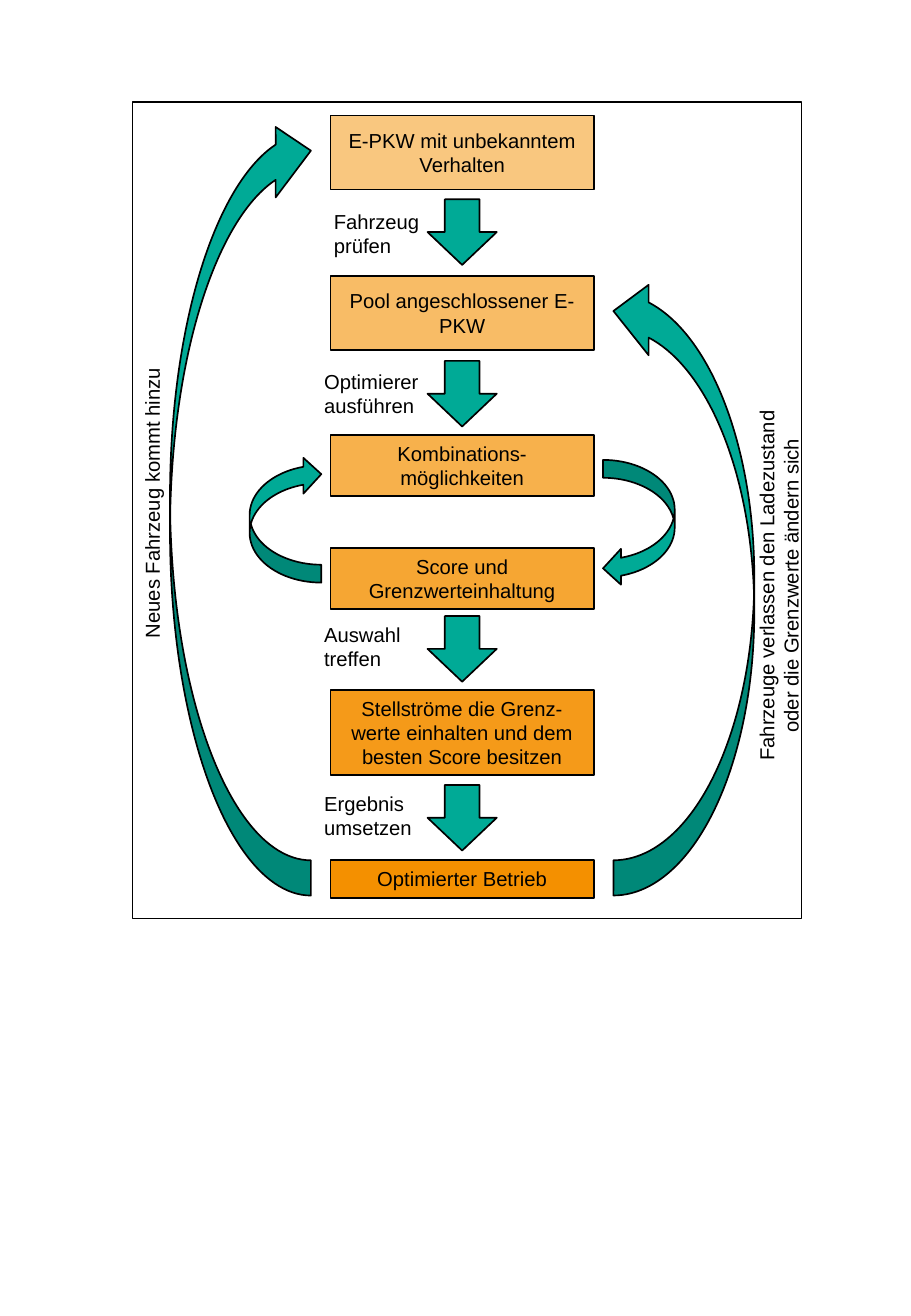
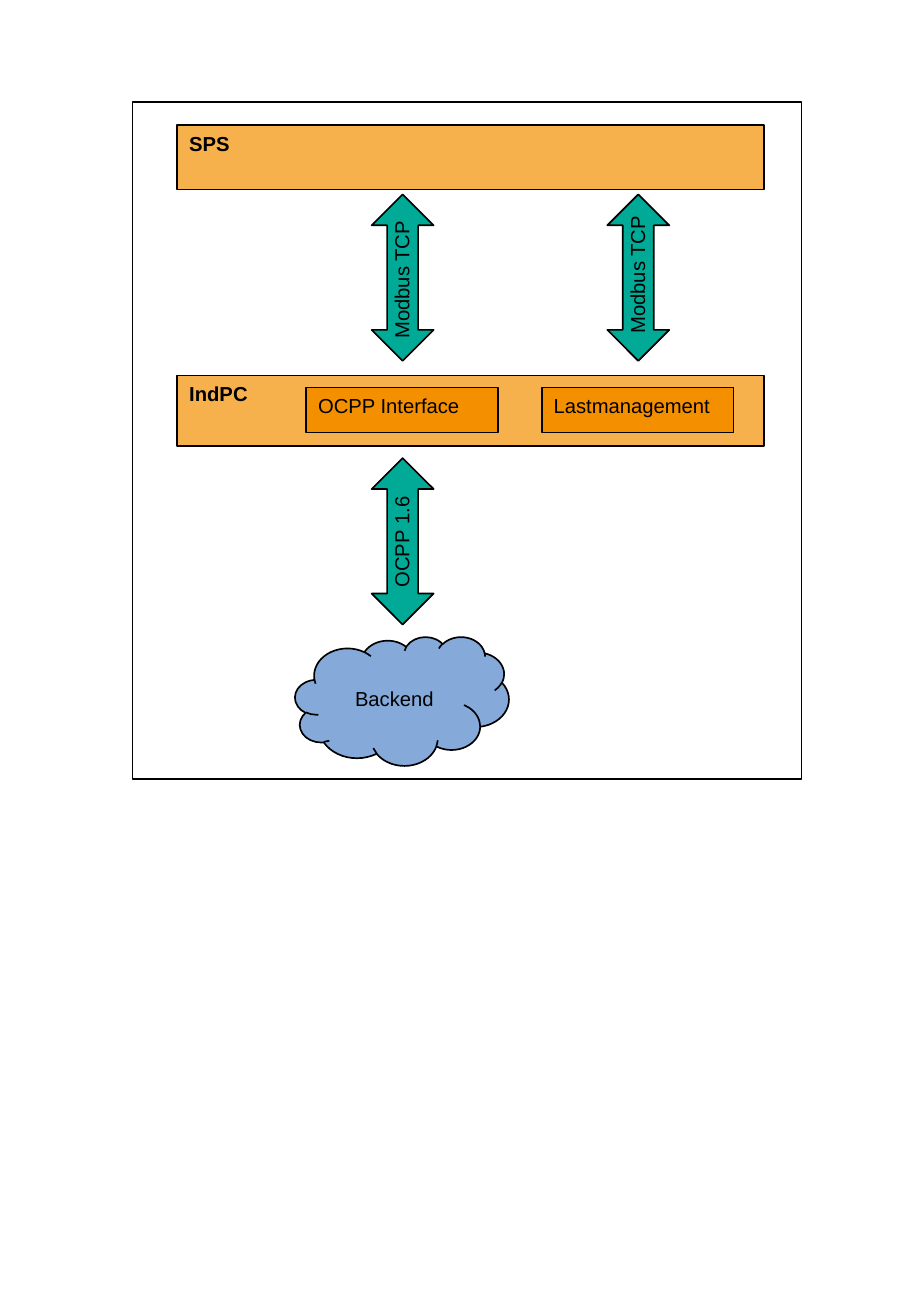
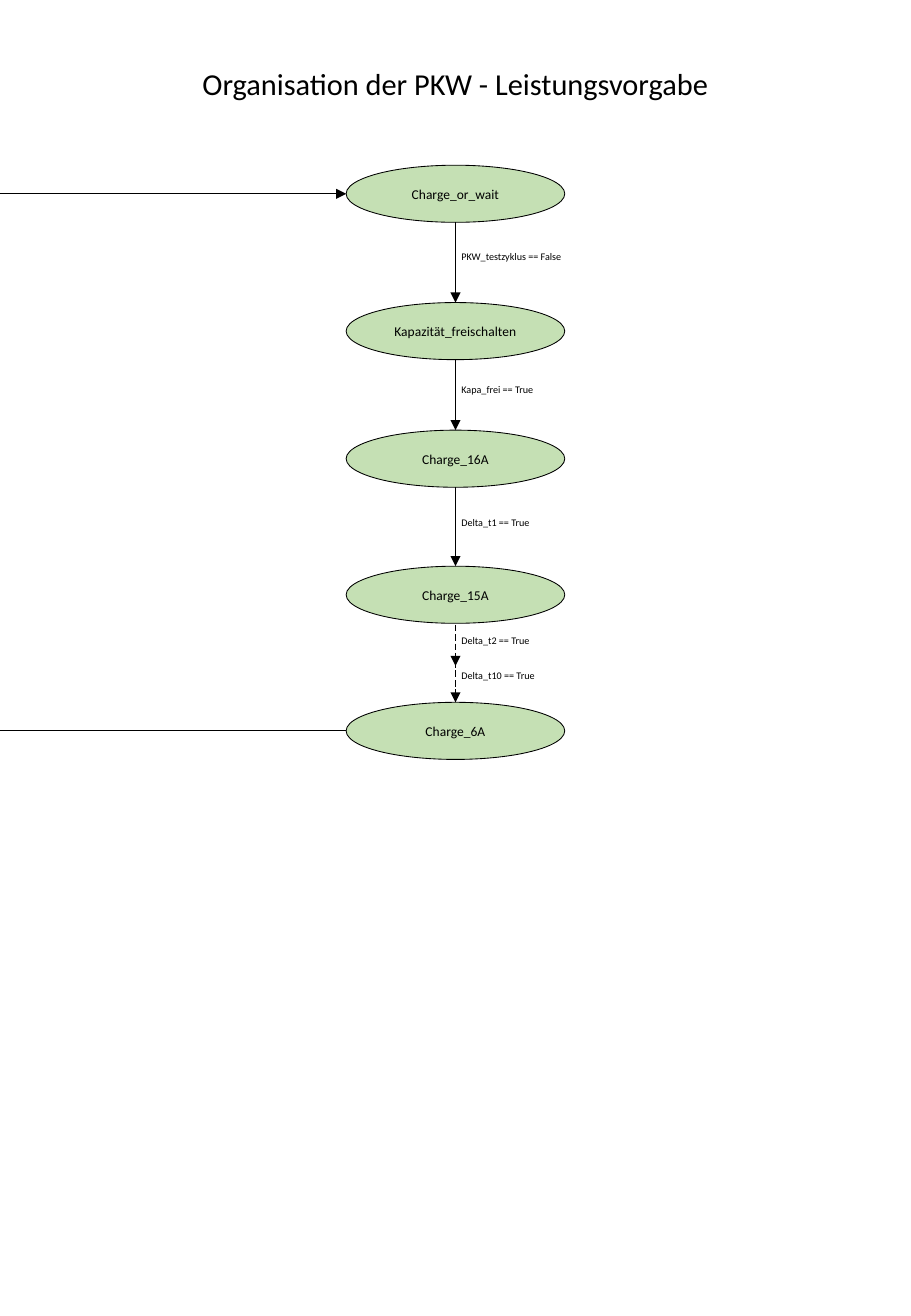
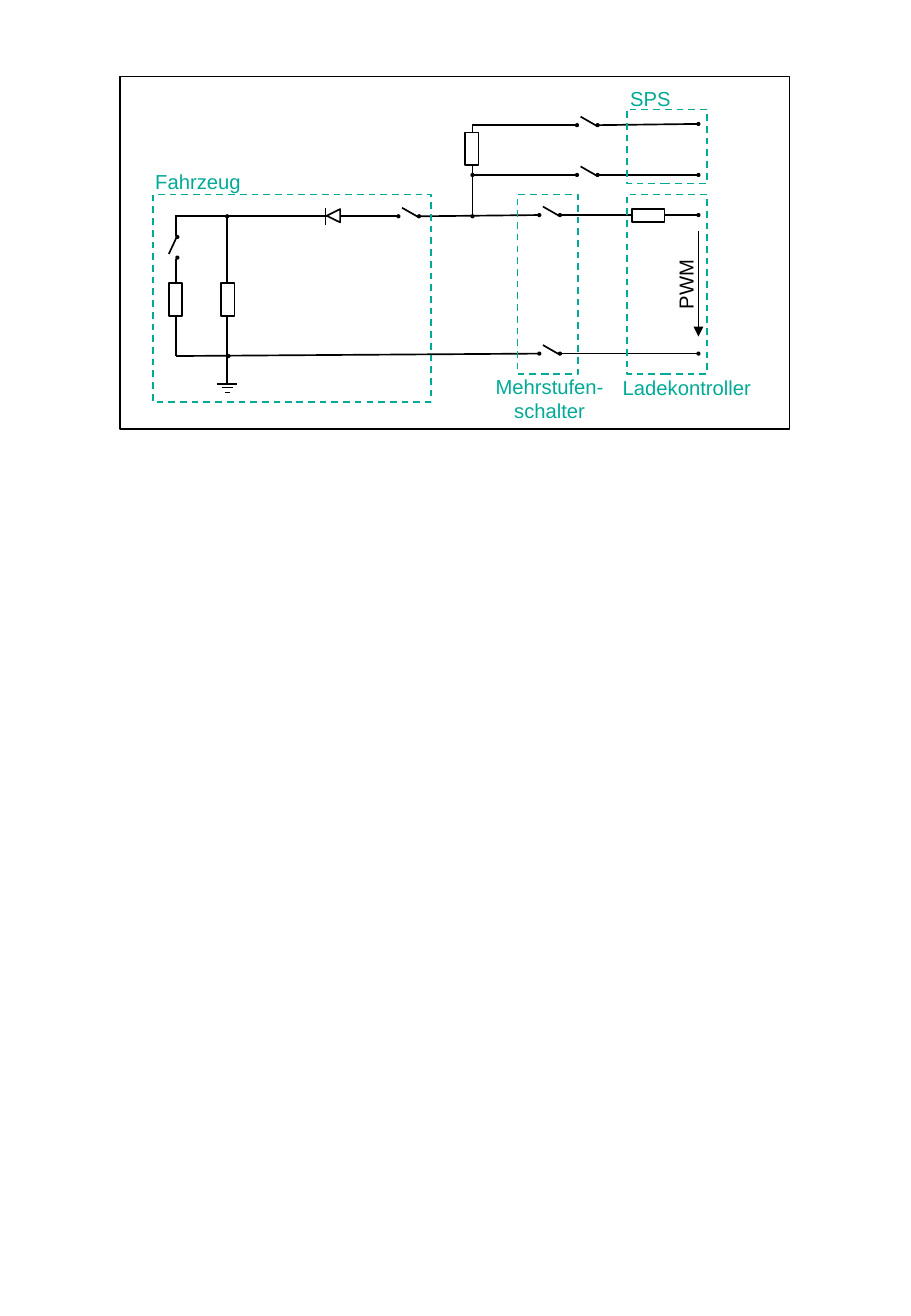
from dataclasses import dataclass
from typing import Optional

from lxml import etree
from pptx import Presentation
from pptx.dml.color import RGBColor
from pptx.enum.dml import MSO_LINE
from pptx.enum.shapes import MSO_CONNECTOR, MSO_SHAPE
from pptx.enum.text import MSO_ANCHOR, MSO_AUTO_SIZE, PP_ALIGN
from pptx.oxml.ns import qn
from pptx.util import Inches, Pt

RECT, OVAL, CLOUD = MSO_SHAPE.RECTANGLE, MSO_SHAPE.OVAL, MSO_SHAPE.CLOUD
DOWN, UP_DOWN = MSO_SHAPE.DOWN_ARROW, MSO_SHAPE.UP_DOWN_ARROW
CURVED, TRIANGLE = MSO_SHAPE.CURVED_DOWN_ARROW, MSO_SHAPE.ISOSCELES_TRIANGLE
DASH, LONG_DASH = MSO_LINE.DASH, MSO_LINE.LONG_DASH
LEFT, CENTER = PP_ALIGN.LEFT, PP_ALIGN.CENTER
TOP, MIDDLE = MSO_ANCHOR.TOP, MSO_ANCHOR.MIDDLE
STRAIGHT = MSO_CONNECTOR.STRAIGHT

COLORS = {"black": "000000", "white": "FFFFFF", "orange": "F49000",
          "teal": "00AA96", "blue": "85AADA", "green": "C5E0B4"}

# The grid: square cells, ten to the inch
COLS, ROWS = 75, 108.3
FRAME_W = 55.1


def cells(n: float) -> int:
    return Inches(n / 10)


def rgb(name: str) -> RGBColor:
    return RGBColor.from_string(COLORS[name])


@dataclass(frozen=True)
class Label:
    """Format of the text in a shape or text box."""
    text: str
    size: float = 12
    font: str = "Arial"
    color: str = "black"
    bold: bool = False
    align: PP_ALIGN = LEFT
    anchor: MSO_ANCHOR = TOP


@dataclass(frozen=True)
class Box:
    """A shape on the grid; without a kind it is a text box."""
    x: float
    y: float
    w: float
    h: float
    kind: Optional[MSO_SHAPE] = RECT
    label: Optional[Label] = None
    fill: Optional[str] = None
    opacity: int = 100
    line: str = "black"
    weight: float = 1
    dash: Optional[MSO_LINE] = None
    rot: float = 0
    flip: str = ""


@dataclass(frozen=True)
class Wire:
    x1: float
    y1: float
    x2: float
    y2: float
    weight: float = 1
    arrow: bool = False
    dash: Optional[MSO_LINE] = None


def write(sp, label: Label) -> None:
    tf = sp.text_frame
    tf.word_wrap, tf.vertical_anchor = True, label.anchor
    for i, text in enumerate(label.text.split("\n")):
        p = tf.paragraphs[0] if i == 0 else tf.add_paragraph()
        p.alignment = label.align
        r = p.add_run()
        r.text = text
        style = {"size": Pt(label.size), "name": label.font, "bold": label.bold}
        for key, value in style.items():
            setattr(r.font, key, value)
        r.font.color.rgb = rgb(label.color)


def draw_box(s, box: Box):
    at = [cells(n) for n in (box.x, box.y, box.w, box.h)]
    if box.kind is None:
        sp = s.shapes.add_textbox(*at)
        sp.text_frame.auto_size = MSO_AUTO_SIZE.SHAPE_TO_FIT_TEXT
    else:
        sp = s.shapes.add_shape(box.kind, *at)
        sp.shadow.inherit = False
        if box.fill:
            sp.fill.solid()
            sp.fill.fore_color.rgb = rgb(box.fill)
        else:
            sp.fill.background()
        if box.opacity < 100:
            clr = sp._element.spPr.find(".//" + qn("a:srgbClr"))
            etree.SubElement(clr, qn("a:alpha"), val=str(box.opacity * 1000))
        sp.line.color.rgb = rgb(box.line)
        sp.line.width = Pt(box.weight)
        if box.dash:
            sp.line.dash_style = box.dash
    sp.rotation = box.rot
    for axis in box.flip:
        sp._element.spPr.find(qn("a:xfrm")).set("flip" + axis, "1")
    if box.label:
        write(sp, box.label)
    return sp


def draw_text(s, x: float, y: float, w: float, h: float, label: Label,
              rot: float = 0) -> None:
    draw_box(s, Box(x, y, w, h, None, label, rot=rot))


def draw_wire(s, wire: Wire):
    ends = [cells(n) for n in (wire.x1, wire.y1, wire.x2, wire.y2)]
    c = s.shapes.add_connector(STRAIGHT, *ends)
    c.line.color.rgb = rgb("black")
    c.line.width = Pt(wire.weight)
    if wire.dash:
        c.line.dash_style = wire.dash
    if wire.arrow:
        etree.SubElement(c.line._get_or_add_ln(), qn("a:tailEnd"), type="triangle")
    etree.SubElement(c._element.spPr, qn("a:effectLst"))
    return c


def draw_frame(s, x: float, y: float, h: float) -> None:
    draw_box(s, Box(x, y, FRAME_W, h))


def optimizer_slide(s) -> None:
    draw_frame(s, 10.9, 8.4, 67.2)
    # Process steps, deeper in colour from top to bottom
    steps = [(9.5, 6.1, MIDDLE, "E-PKW mit unbekanntem Verhalten"),
             (22.7, 6.1, MIDDLE, "Pool angeschlossener E-PKW"),
             (35.8, 5, TOP, "Kombinations-möglichkeiten"),
             (45.1, 5, TOP, "Score und Grenzwerteinhaltung"),
             (56.8, 7, TOP, "Stellströme die Grenz-werte einhalten "
                            "und dem besten Score besitzen"),
             (70.8, 3.1, TOP, "Optimierter Betrieb")]
    for i, (y, h, anchor, text) in enumerate(steps):
        draw_box(s, Box(27.2, y, 21.7, h, fill="orange", opacity=50 + 10 * i,
                        label=Label(text, align=CENTER, anchor=anchor)))
    # Arrows between the steps with their actions
    actions = [(16.4, 26.5, 16.7, "Fahrzeug\nprüfen"),
               (29.7, 25.7, 29.9, "Optimierer\nausführen"),
               (50.7, 25.7, 50.7, "Auswahl\ntreffen"),
               (64.6, 25.7, 64.6, "Ergebnis\numsetzen")]
    for arrow_y, x, y, text in actions:
        draw_box(s, Box(35.2, arrow_y, 5.7, 5.4, DOWN, fill="teal"))
        draw_text(s, x, y, 17.5, 5, Label(text))
    # Feedback loops
    loops = [(18.3, 39.8, 10.4, 5.9, 90, "HV"), (47.4, 40.1, 10.4, 5.9, 270, "HV"),
             (-12.3, 35.8, 64.2, 11.6, 90, "HV"), (30.8, 42.4, 51, 11.6, 270, "V")]
    for x, y, w, h, rot, flip in loops:
        draw_box(s, Box(x, y, w, h, CURVED, fill="teal", rot=rot, flip=flip))
    draw_text(s, 0, 39.5, 25, 3, Label("Neues Fahrzeug kommt hinzu"), 270)
    draw_text(s, 48.1, 45.7, 32, 5,
              Label("Fahrzeuge verlassen den Ladezustand oder die Grenzwerte "
                    "ändern sich", align=CENTER), 270)


def interface_slide(s) -> None:
    draw_frame(s, 10.9, 8.4, 55.7)
    # Devices
    for y, h, text in [(30.9, 5.8, "IndPC"), (10.3, 5.3, "SPS")]:
        draw_box(s, Box(14.6, y, 48.3, h, fill="orange", opacity=70,
                        label=Label(text, bold=True)))
    draw_box(s, Box(24.3, 52.4, 17.6, 10.6, CLOUD, fill="blue",
                    label=Label("Backend", align=CENTER, anchor=MIDDLE)))
    # Software modules
    for x, text in [(25.2, "OCPP Interface"), (44.6, "Lastmanagement")]:
        draw_box(s, Box(x, 31.9, 15.8, 3.7, fill="orange", label=Label(text)))
    # Protocol links
    links = [(30.6, 16, 5.4, "Modbus TCP", LEFT), (50, 16, 5, "Modbus TCP", LEFT),
             (30.6, 37.7, 5.4, "OCPP 1.6", CENTER)]
    for x, y, drop, text, align in links:
        draw_box(s, Box(x, y, 5.1, 13.7, UP_DOWN, fill="teal"))
        draw_text(s, x - 3.5, y + drop, 11.9, 3, Label(text, align=align), 270)


def charging_slide(s) -> None:
    mid, w, h, thin = COLS / 2, 18, 4.7, 0.5
    left = mid - w / 2
    draw_text(s, 15, 4.9, 45, 4, Label("Organisation der PKW - Leistungsvorgabe",
                                       18, "Calibri", align=CENTER))
    # States
    states = [(13.6, "Charge_or_wait"), (24.9, "Kapazität_freischalten"),
              (35.4, "Charge_16A"), (46.6, "Charge_15A"), (57.8, "Charge_6A")]
    ovals = [draw_box(s, Box(left, y, w, h, OVAL, fill="green", weight=thin,
                             label=Label(text, 8, "Calibri", align=CENTER,
                                         anchor=MIDDLE)))
             for y, text in states]
    # Transitions; the last one is abridged by two dashed arrows
    for i in range(1, len(states)):
        last = i == len(states) - 1
        start = 54.4 if last else states[i - 1][0] + h
        c = draw_wire(s, Wire(mid, start, mid, states[i][0], thin, True,
                              LONG_DASH if last else None))
        c.end_connect(ovals[i], 0)
    draw_wire(s, Wire(mid, 51.4, mid, 54.8, thin, True, LONG_DASH))
    # Way back to the first state
    first_y, last_y = (states[i][0] + h / 2 for i in (0, -1))
    draw_wire(s, Wire(left, last_y, 0, last_y, thin))
    draw_wire(s, Wire(0, first_y, left, first_y, thin, True))
    # Conditions
    conditions = [(20.1, "PKW_testzyklus == False"), (31.1, "Kapa_frei == True"),
                  (42, "Delta_t1 == True"), (51.7, "Delta_t2 == True"),
                  (54.6, "Delta_t10 == True")]
    for y, text in conditions:
        draw_text(s, 37, y, 11.1, 2, Label(text, 6, "Calibri"))


def draw_dot(s, x: float, y: float) -> None:
    draw_box(s, Box(x - 0.1, y - 0.1, 0.2, 0.2, OVAL, fill="black"))


def draw_switch(s, x: float, y: float) -> None:
    """Open switch whose arm turns on its right contact."""
    draw_wire(s, Wire(x, y + 0.1, x - 1.4, y - 0.7))
    for contact in (x, x - 1.7):
        draw_dot(s, contact, y)


def circuit_slide(s) -> None:
    draw_frame(s, 9.9, 6.3, 29)
    # Wires
    wires = [(47.3, 10.3, 38.9, 10.3), (57.5, 10.2, 49.2, 10.3),
             (47.3, 14.4, 38.9, 14.4), (57.4, 14.4, 49.2, 14.4),
             (38.9, 17.7, 38.9, 10.2), (57.5, 17.7, 46.2, 17.7),
             (32.7, 17.8, 14.5, 17.8), (44.3, 17.7, 34.6, 17.8),
             (18.7, 31.6, 18.7, 17.8), (14.5, 29.3, 14.5, 21.3),
             (44.3, 29.1, 14.5, 29.3), (57.5, 29.1, 46.2, 29.1),
             (14.5, 19.4, 14.5, 17.7)]
    # Earth symbol
    earth = [(18.7 - half, y, 18.7 + half, y)
             for half, y in ((0.8, 31.6), (0.45, 31.9), (0.2, 32.3))]
    for ends in wires + earth:
        draw_wire(s, Wire(*ends))
    # Switches
    for x, y in [(49.2, 10.3), (49.2, 14.4), (46.1, 17.7), (34.5, 17.8), (46.1, 29.1)]:
        draw_switch(s, x, y)
    draw_wire(s, Wire(14.6, 19.4, 13.9, 20.9))
    # Contacts and junctions
    for x, y in [(14.6, 19.5), (14.6, 21.2), (18.8, 29.3), (18.7, 17.8),
                 (38.9, 17.8), (38.9, 14.4), (57.5, 17.7), (57.5, 10.2),
                 (57.5, 14.4), (57.5, 29.1)]:
        draw_dot(s, x, y)
    # Resistors
    for x, y, rot in [(38.3, 10.9, 0), (52.8, 16.4, 90), (18.2, 23.3, 0), (13.9, 23.3, 0)]:
        draw_box(s, Box(x, y, 1.1, 2.7, fill="white", rot=rot))
    # Diode
    draw_box(s, Box(26.9, 17.2, 1.1, 1.1, TRIANGLE, fill="white", rot=270))
    draw_wire(s, Wire(26.8, 17.1, 26.8, 18.5))
    # Assemblies and their names
    for x, y, w, h in [(12.6, 16, 22.9, 17.1), (42.6, 16, 5, 14.8),
                       (51.6, 9, 6.6, 6.1), (51.6, 16, 6.6, 14.8)]:
        draw_box(s, Box(x, y, w, h, line="teal", dash=DASH))
    for x, y, w, h, text, align in [
            (11.8, 13.4, 9.4, 3, "Fahrzeug", LEFT),
            (38.3, 30.3, 13.9, 5, "Mehrstufen-schalter", CENTER),
            (50, 30.4, 13.1, 3, "Ladekontroller", CENTER),
            (50.9, 6.6, 13.1, 3, "SPS", LEFT)]:
        draw_text(s, x, y, w, h, Label(text, color="teal", align=align))
    # Control signal
    draw_wire(s, Wire(57.5, 19, 57.5, 27.7, 0.5, True))
    draw_text(s, 49.9, 21.9, 13.1, 3, Label("PWM", align=CENTER), 270)


def main() -> None:
    prs = Presentation()
    prs.slide_width, prs.slide_height = cells(COLS), cells(ROWS)
    for build in (optimizer_slide, interface_slide, charging_slide, circuit_slide):
        build(prs.slides.add_slide(prs.slide_layouts[6]))
    prs.save("out.pptx")


if __name__ == "__main__":
    main()
